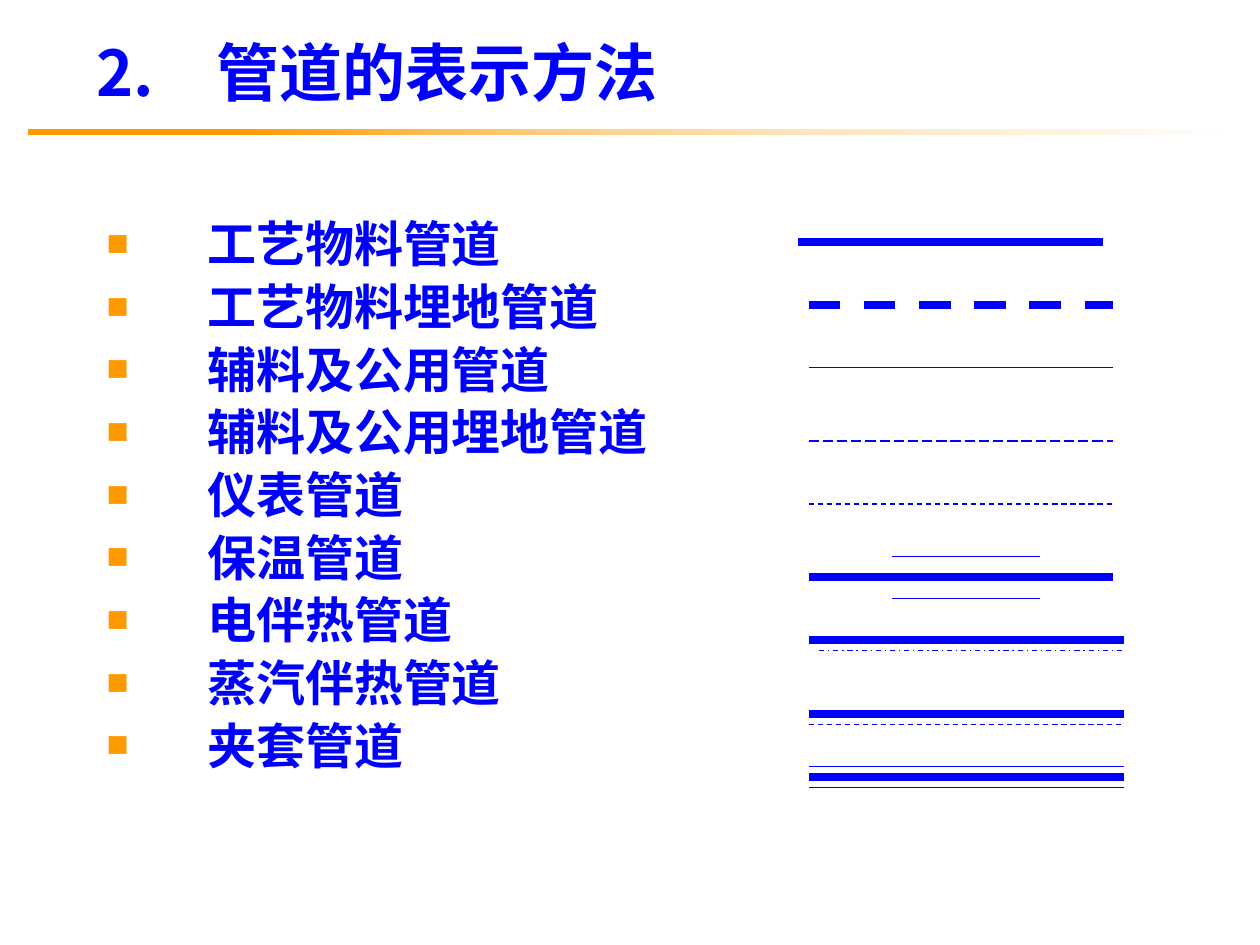
import pptx
import pptx.dml.color
import pptx.enum.dml
import pptx.enum.shapes
import pptx.enum.text
import pptx.oxml
import pptx.oxml.ns
import pptx.util
from pptx.util import Cm

BLUE = "0000FF"
ORANGE = "FF9900"
FONT = "Noto Sans CJK SC"
NAMESPACE = pptx.oxml.ns.nsdecls("a")


def color(hex_text):
    return pptx.dml.color.RGBColor.from_string(hex_text)


def add_bold_run(paragraph, text, size):
    run = paragraph.add_run()
    run.text = text
    run.font.size = pptx.util.Pt(size)
    run.font.bold = True
    run.font.color.rgb = color(BLUE)
    run.font.name = FONT
    run._r.get_or_add_rPr().append(
        pptx.oxml.parse_xml(f'<a:ea {NAMESPACE} typeface="{FONT}"/>'))


presentation = pptx.Presentation()
presentation.slide_width = Cm(25.4)
presentation.slide_height = Cm(19.05)
slide = presentation.slides.add_slide(presentation.slide_layouts[6])

# Fading rule under the title
rule = slide.shapes.add_shape(
    pptx.enum.shapes.MSO_SHAPE.RECTANGLE, Cm(0.56), Cm(2.6), Cm(24.26), Cm(0.12))
rule.shadow.inherit = False
rule.line.fill.background()
rule.fill.gradient()
rule.fill.gradient_angle = 0
stops = rule._element.spPr.find(".//" + pptx.oxml.ns.qn("a:gsLst"))
for stop in list(stops):
    stops.remove(stop)
for percent, shade in [(17, ORANGE), (43, "FFCC80"), (67, "FFE6C0"),
                       (87, "FFF3E0"), (100, "FFFFFF")]:
    stops.append(pptx.oxml.parse_xml(
        f'<a:gs {NAMESPACE} pos="{percent * 1000}"><a:srgbClr val="{shade}"/></a:gs>'))

# Title, with a tab between number and heading
title = slide.shapes.add_textbox(Cm(1.7), Cm(0.53), Cm(22.86), Cm(1.8))
title.text_frame.word_wrap = True
title.text_frame.vertical_anchor = pptx.enum.text.MSO_ANCHOR.MIDDLE
paragraph = title.text_frame.paragraphs[0]
paragraph._p.get_or_add_pPr().append(pptx.oxml.parse_xml(
    f'<a:tabLst {NAMESPACE}><a:tab pos="{Cm(2.42)}" algn="l"/></a:tabLst>'))
add_bold_run(paragraph, "2.\t管道的表示方法", 36)

# Pipe types
pipe_names = ["工艺物料管道", "工艺物料埋地管道", "辅料及公用管道",
              "辅料及公用埋地管道", "仪表管道", "保温管道",
              "电伴热管道", "蒸汽伴热管道", "夹套管道"]
body = slide.shapes.add_textbox(Cm(1.9), Cm(4.11), Cm(13.5), Cm(11.6))
body.text_frame.word_wrap = True
for index, name in enumerate(pipe_names):
    paragraph = (body.text_frame.add_paragraph() if index
                 else body.text_frame.paragraphs[0])
    paragraph.line_spacing = pptx.util.Pt(35.8)
    properties = paragraph._p.get_or_add_pPr()
    properties.set("marL", str(Cm(2.03)))
    properties.set("indent", str(-Cm(2.03)))
    for bullet_xml in [
            f'<a:buClr {NAMESPACE}><a:srgbClr val="{ORANGE}"/></a:buClr>',
            f'<a:buSzPct {NAMESPACE} val="75000"/>',
            f'<a:buFont {NAMESPACE} typeface="Times New Roman"/>',
            f'<a:buChar {NAMESPACE} char="■"/>']:
        properties.append(pptx.oxml.parse_xml(bullet_xml))
    add_bold_run(paragraph, name, 28)

# Line symbols: left, right, height on the slide (cm), width (pt), dash
THICK, THIN = 4.5, 0.75
DASH = pptx.enum.dml.MSO_LINE.DASH
LONG_DASH = pptx.enum.dml.MSO_LINE.LONG_DASH
DASH_DOT = pptx.enum.dml.MSO_LINE.DASH_DOT
symbol_lines = [
    (16.09, 22.23, 4.87, THICK, None),
    (16.3, 22.44, 6.14, THICK, DASH),
    (16.3, 22.44, 7.41, THIN, None),
    (16.3, 22.44, 8.89, THIN, LONG_DASH),
    (16.3, 22.44, 10.16, THIN, DASH),
    (16.3, 22.44, 11.64, THICK, None),
    (17.99, 20.96, 12.06, THIN, None),
    (17.99, 20.96, 11.22, THIN, None),
    (16.3, 22.65, 12.91, THICK, None),
    (16.51, 22.65, 13.12, THIN, DASH_DOT),
    (16.3, 22.65, 14.39, THICK, None),
    (16.3, 22.65, 14.6, THIN, DASH),
    (16.3, 22.65, 15.66, THICK, None),
    (16.3, 22.65, 15.45, THIN, None),
    (16.3, 22.65, 15.87, THIN, None),
]
for left, right, height, width, dash in symbol_lines:
    connector = slide.shapes.add_connector(
        pptx.enum.shapes.MSO_CONNECTOR.STRAIGHT,
        Cm(left), Cm(height), Cm(right), Cm(height))
    connector.line.color.rgb = color(BLUE)
    connector.line.width = pptx.util.Pt(width)
    if dash is not None:
        connector.line.dash_style = dash
    connector._element.spPr.append(
        pptx.oxml.parse_xml(f"<a:effectLst {NAMESPACE}/>"))

presentation.save("out.pptx")
